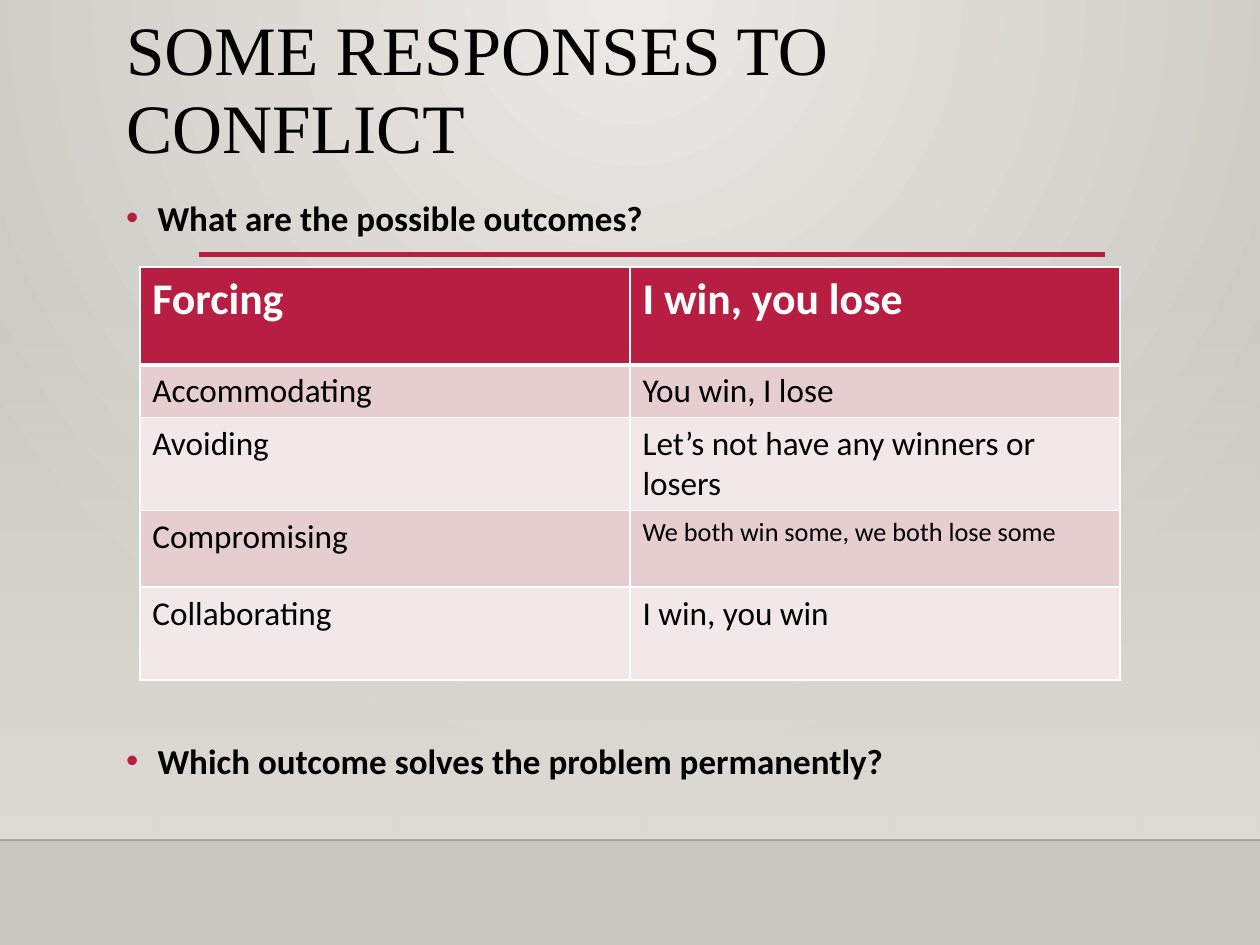
import dataclasses

import pptx
import pptx.dml.color
import pptx.enum.shapes
import pptx.enum.text
import pptx.oxml
import pptx.oxml.ns
import pptx.util

Pt = pptx.util.Pt
RGB = pptx.dml.color.RGBColor
qn = pptx.oxml.ns.qn
NS = pptx.oxml.ns.nsdecls("a", "p")

RED = RGB(0xB7, 0x1E, 0x42)
BLACK = RGB(0, 0, 0)
WHITE = RGB(0xFF, 0xFF, 0xFF)
ROSE = RGB(0xE6, 0xCD, 0xCF)
BLUSH = RGB(0xF3, 0xE8, 0xE9)
LIGHT = RGB(0xEC, 0xEA, 0xE7)
DARK = RGB(0xCA, 0xC7, 0xC1)
SAND = RGB(0xDF, 0xDB, 0xD5)


@dataclasses.dataclass
class Row:
    style: str
    result: str
    height: float
    size: float = 19
    last: float = 19


@dataclasses.dataclass
class Point:
    text: str
    top: float


@dataclasses.dataclass
class Rule:
    left: float
    right: float
    y: float
    width: float
    color: RGB
    alpha: int = 100


ROWS = [
    Row("Forcing", "I win, you lose", 56, 25, 25),
    Row("Accommodating", "You win, I lose", 30),
    Row("Avoiding", "Let’s not have any winners or losers", 53),
    Row("Compromising", "We both win some, we both lose some", 44, last=15),
    Row("Collaborating", "I win, you win", 53),
]
POINTS = [
    Point("What are the possible outcomes?", 112.5),
    Point("Which outcome solves the problem permanently?", 422.5),
]
RULES = [
    Rule(0, 720, 480, 1, BLACK, 20),
    Rule(113.8, 631.4, 145.4, 2.5, RED),
]


def grad(stops: list, shape: str):
    """Gradient fill element from (position, colour, alpha) in percent."""
    marks = "".join(
        f'<a:gs pos="{pos * 1000}"><a:srgbClr val="{color}">'
        f'<a:alpha val="{alpha * 1000}"/></a:srgbClr></a:gs>'
        for pos, color, alpha in stops)
    return pptx.oxml.parse_xml(
        f'<a:gradFill {NS} rotWithShape="1"><a:gsLst>{marks}</a:gsLst>'
        f'{shape}</a:gradFill>')


def write(frame, text: str, *, size: float, font: str = "Calibri",
          color: RGB = BLACK, bold: bool = False, space: float = 1):
    frame.word_wrap = True
    para = frame.paragraphs[0]
    para.alignment = pptx.enum.text.PP_ALIGN.LEFT
    para.line_spacing = space
    run = para.add_run()
    run.text = text
    run.font.size = Pt(size)
    run.font.name = font
    run.font.bold = bold
    run.font.color.rgb = color
    return para


def paint(slide) -> None:
    """Fill the background and lay the fading band over it."""
    slide.background.fill.solid()
    pr = slide.background._cSld.bg.bgPr
    pr.replace(pr[0], grad(
        [(0, LIGHT, 100), (100, DARK, 100)],
        '<a:path path="circle"><a:fillToRect l="43000" t="0" '
        'r="43000" b="100000"/></a:path>'))
    band = slide.shapes.add_shape(
        pptx.enum.shapes.MSO_SHAPE.RECTANGLE, 0, Pt(158.4), Pt(720), Pt(321.6))
    band.shadow.inherit = False
    band.line.fill.background()
    band.fill.solid()
    fill = band._element.spPr.find(qn("a:solidFill"))
    band._element.spPr.replace(fill, grad(
        [(0, SAND, 0), (100, SAND, 100)], '<a:lin ang="5400000" scaled="0"/>'))


def add_rule(slide, rule: Rule) -> None:
    line = slide.shapes.add_connector(
        pptx.enum.shapes.MSO_CONNECTOR.STRAIGHT,
        Pt(rule.left), Pt(rule.y), Pt(rule.right), Pt(rule.y))
    line.line.width = Pt(rule.width)
    line.line.color.rgb = rule.color
    props = line._element.spPr
    if rule.alpha < 100:
        tone = props.find(".//" + qn("a:srgbClr"))
        tone.append(pptx.oxml.parse_xml(
            f'<a:alpha {NS} val="{rule.alpha * 1000}"/>'))
    props.append(pptx.oxml.parse_xml(f"<a:effectLst {NS}/>"))


def add_title(slide) -> None:
    title = slide.shapes.title
    title.left, title.top = Pt(64.8), Pt(3.6)
    title.width, title.height = Pt(594), Pt(72)
    title.text_frame.vertical_anchor = pptx.enum.text.MSO_ANCHOR.TOP
    title.text_frame.auto_size = pptx.enum.text.MSO_AUTO_SIZE.NONE
    write(title.text_frame, "SOME RESPONSES TO CONFLICT", size=39.6,
          font="Times New Roman", space=0.94)


def add_point(slide, point: Point) -> None:
    box = slide.shapes.add_textbox(Pt(72), Pt(point.top), Pt(566), Pt(25))
    frame = box.text_frame
    frame.margin_left = frame.margin_right = 0
    frame.margin_top = frame.margin_bottom = 0
    props = write(frame, point.text, size=20, bold=True)._p.get_or_add_pPr()
    props.set("marL", str(Pt(18)))
    props.set("indent", str(-Pt(18)))
    for part in (f'<a:buClr {NS}><a:srgbClr val="{RED}"/></a:buClr>',
                 f'<a:buFont {NS} typeface="Arial"/>',
                 f'<a:buChar {NS} char="•"/>'):
        props.append(pptx.oxml.parse_xml(part))


def edge(cell, base: float) -> None:
    """Draw white borders, the bottom one as wide as base."""
    props = cell._tc.get_or_add_tcPr()
    sides = {"lnL": 1, "lnR": 1, "lnT": 1, "lnB": base}
    for at, (side, width) in enumerate(sides.items()):
        props.insert(at, pptx.oxml.parse_xml(
            f'<a:{side} {NS} w="{Pt(width)}"><a:solidFill>'
            f'<a:srgbClr val="{WHITE}"/></a:solidFill></a:{side}>'))


def add_grid(slide) -> None:
    high = sum(row.height for row in ROWS)
    grid = slide.shapes.add_table(
        len(ROWS), 2, Pt(79.9), Pt(152.6), Pt(560.2), Pt(high)).table
    for i, row in enumerate(ROWS):
        grid.rows[i].height = Pt(row.height)
        head = i == 0
        shade = RED if head else ROSE if i % 2 else BLUSH
        pairs = [(row.style, row.size), (row.result, row.last)]
        for j, (text, size) in enumerate(pairs):
            cell = grid.cell(i, j)
            cell.fill.solid()
            cell.fill.fore_color.rgb = shade
            write(cell.text_frame, text, size=size, bold=head,
                  color=WHITE if head else BLACK)
            edge(cell, 3 if head else 1)


def main() -> None:
    deck = pptx.Presentation()
    deck.slide_width, deck.slide_height = Pt(720), Pt(540)
    slide = deck.slides.add_slide(deck.slide_layouts.get_by_name("Title Only"))
    paint(slide)
    for rule in RULES:
        add_rule(slide, rule)
    add_title(slide)
    for point in POINTS:
        add_point(slide, point)
    add_grid(slide)
    deck.save("out.pptx")


if __name__ == "__main__":
    main()
